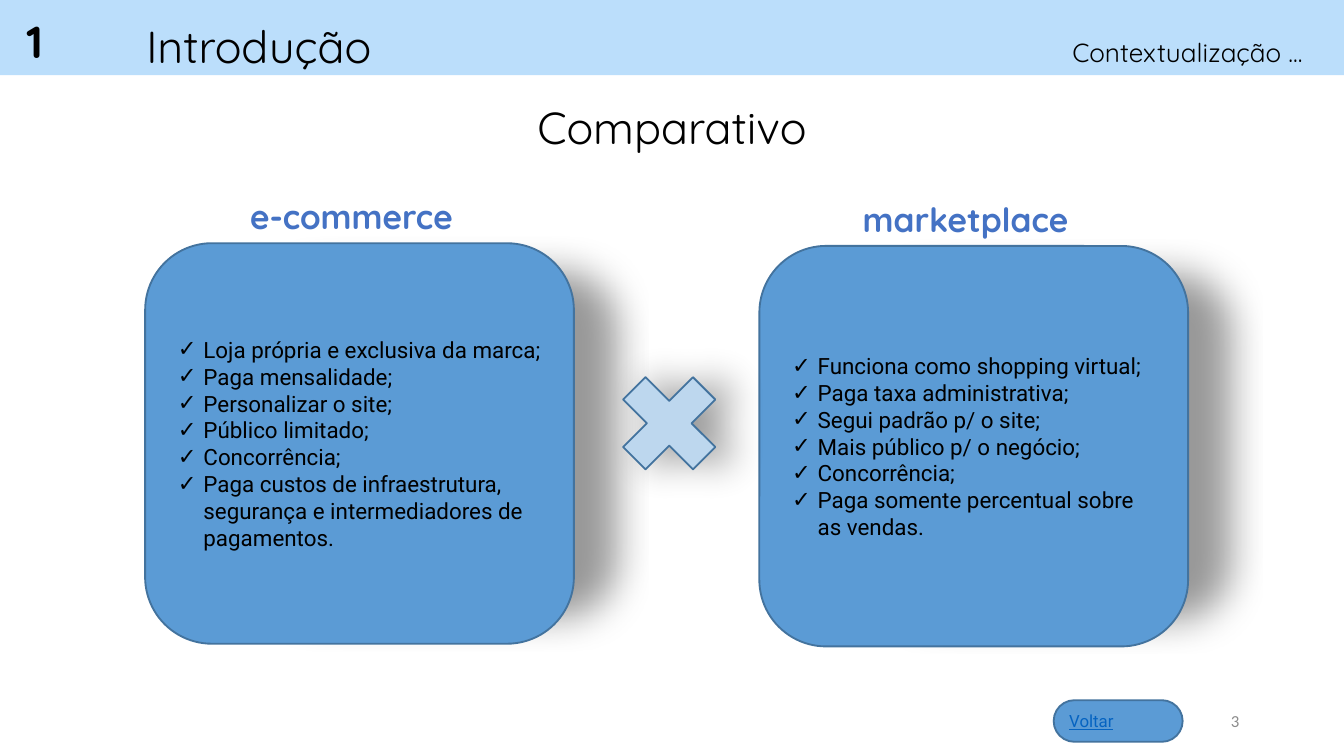
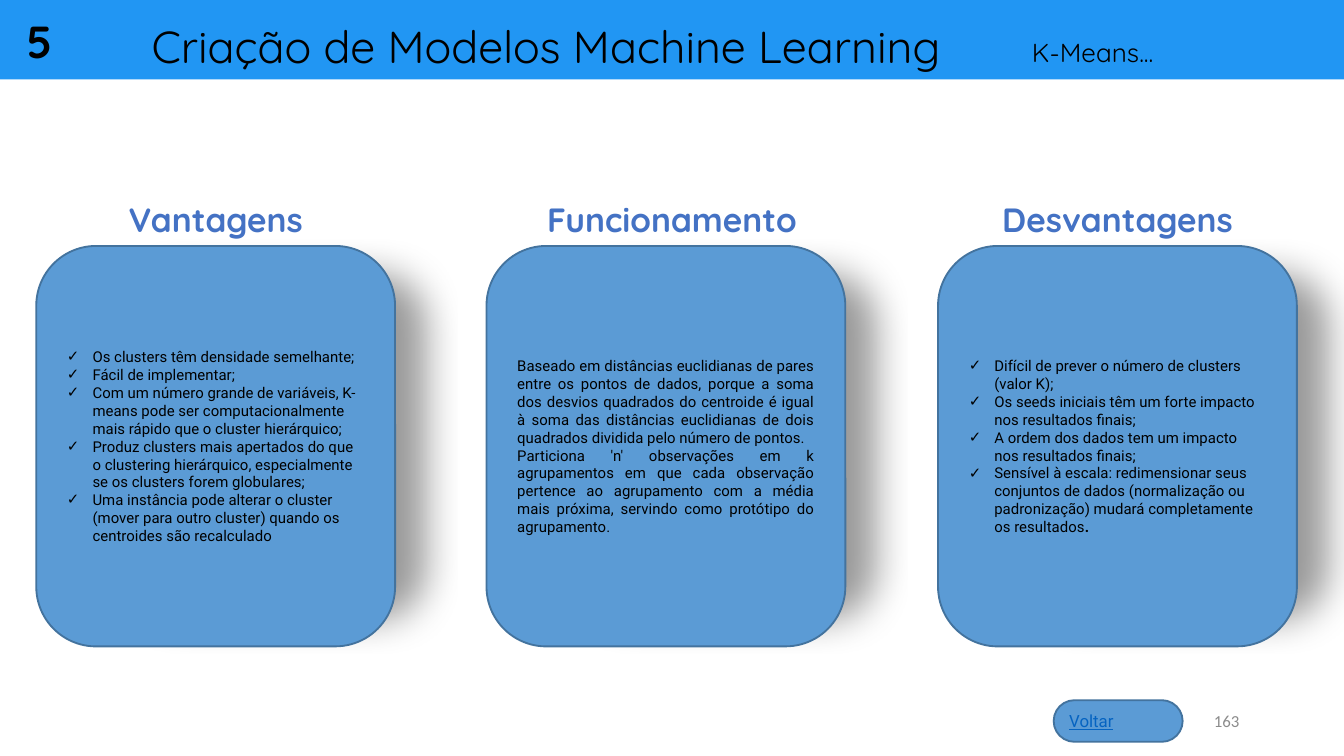
from lxml import etree
from pptx import Presentation
from pptx.dml.color import RGBColor
from pptx.enum.shapes import MSO_SHAPE
from pptx.enum.text import MSO_ANCHOR, PP_ALIGN
from pptx.oxml.ns import qn
from pptx.util import Inches, Pt

LEFT, CENTER, RIGHT, JUSTIFY = PP_ALIGN.LEFT, PP_ALIGN.CENTER, PP_ALIGN.RIGHT, PP_ALIGN.JUSTIFY
TOP, MIDDLE = MSO_ANCHOR.TOP, MSO_ANCHOR.MIDDLE
RECTANGLE, ROUNDED = MSO_SHAPE.RECTANGLE, MSO_SHAPE.ROUNDED_RECTANGLE
BUTTON, CROSS = MSO_SHAPE.ROUND_2_SAME_RECTANGLE, MSO_SHAPE.MATH_MULTIPLY

BLACK, WHITE, GRAY = "000000", "FFFFFF", "8C8C8C"
CARD_BLUE, EDGE_BLUE, CROSS_BLUE = "5B9BD5", "43739E", "BDD7EE"
HEADING_BLUE, LINK_BLUE = "4472C4", "0563C1"
TITLE_FONT, BODY_FONT, NUMBER_FONT = "Quicksand", "Roboto", "Calibri"
CARD_HEIGHT, HEADING_HEIGHT = 2.98, 0.4


def color(value):
    """Turn a hex string into a colour."""
    return RGBColor.from_string(value)


def add_element(parent, tag, **attributes):
    """Append a DrawingML element with its attributes."""
    element = etree.SubElement(parent, qn(tag))
    for name, value in attributes.items():
        element.set(name, str(value))
    return element


def style_font(font, name, size, hex_color, bold=False):
    """Set the typeface, size, colour and weight of a font."""
    font.name, font.size, font.bold = name, Pt(size), bold
    font.color.rgb = color(hex_color)


def add_shape(slide, kind, box, fill, line=None):
    """Add a flat preset shape with an optional outline."""
    shape = slide.shapes.add_shape(kind, *map(Inches, box))
    shape.shadow.inherit = False
    shape.fill.solid()
    shape.fill.fore_color.rgb = color(fill)
    if line:
        shape.line.color.rgb = color(line)
        shape.line.width = Pt(1)
    else:
        shape.line.fill.background()
    return shape


def add_label(slide, text, box, size, name=TITLE_FONT, hex_color=BLACK,
              bold=False, align=LEFT, anchor=MIDDLE):
    """Add a one-line text box and return its run."""
    text_frame = slide.shapes.add_textbox(*map(Inches, box)).text_frame
    text_frame.word_wrap = True
    text_frame.vertical_anchor = anchor
    text_frame.text = text
    paragraph = text_frame.paragraphs[0]
    paragraph.alignment = align
    run = paragraph.runs[0]
    style_font(run.font, name, size, hex_color, bold)
    return run


def add_shadow(shape, distance, scale_x=100, scale_y=100):
    """Cast a soft shadow to the right of a shape."""
    effects = shape._element.spPr.find(qn("a:effectLst"))
    shadow = add_element(effects, "a:outerShdw", blurRad=Pt(21), dist=Pt(distance), dir=0,
                         sx=scale_x * 1000, sy=scale_y * 1000, algn="ctr", rotWithShape=0)
    shade = add_element(shadow, "a:srgbClr", val=BLACK)
    add_element(shade, "a:alpha", val=40000)


def add_check(paragraph):
    """Give a paragraph a hanging check mark."""
    properties = paragraph._p.get_or_add_pPr()
    properties.set("marL", str(Inches(0.19)))
    properties.set("indent", str(-Inches(0.19)))
    add_element(properties, "a:buFont", typeface=BODY_FONT)
    add_element(properties, "a:buChar", char="✓")


def add_heading(slide, text, box):
    """Add a card heading with a thin white text outline."""
    run = add_label(slide, text, box, 18, hex_color=HEADING_BLUE, bold=True, align=CENTER)
    properties = run.font._element
    outline = etree.Element(qn("a:ln"), w=str(Pt(0.75)))
    add_element(add_element(outline, "a:solidFill"), "a:srgbClr", val=WHITE)
    properties.insert(0, outline)


def add_card(slide, box, heading, heading_span, items, size, distance, checks=True):
    """Draw a rounded card with its heading and paragraphs."""
    left, top = box[:2]
    offset, width = heading_span
    shape = add_shape(slide, ROUNDED, box, CARD_BLUE, EDGE_BLUE)
    add_shadow(shape, distance, 80, 86)
    text_frame = shape.text_frame
    text_frame.word_wrap = True
    text_frame.vertical_anchor = MIDDLE
    text_frame.text = "\n".join(items)
    for paragraph in text_frame.paragraphs:
        paragraph.alignment = LEFT if checks else JUSTIFY
        if checks:
            add_check(paragraph)
        for run in paragraph.runs:
            style_font(run.font, BODY_FONT, size, BLACK)
    add_heading(slide, heading, (left + offset, top - HEADING_HEIGHT, width, HEADING_HEIGHT))
    return shape


def add_header(slide, band_top, fill, number, title, title_box, topic, topic_box):
    """Draw the top band with section number, title and topic."""
    add_shape(slide, RECTANGLE, (0, band_top, 10, 0.59), fill)
    add_label(slide, number, (0.1, 0.05, 0.42, 0.5), 24, bold=True)
    add_label(slide, title, title_box, 24)
    add_label(slide, topic, topic_box, 14, anchor=TOP)


def add_footer(slide, page):
    """Draw the back button and the page number."""
    button = add_shape(slide, BUTTON, (7.84, 5.21, 0.96, 0.31), CARD_BLUE, EDGE_BLUE)
    button.adjustments[0] = button.adjustments[1] = 0.5
    text_frame = button.text_frame
    text_frame.margin_left = text_frame.margin_right = Inches(0.07)
    text_frame.margin_top = text_frame.margin_bottom = Inches(0.04)
    text_frame.vertical_anchor = MIDDLE
    text_frame.text = "Voltar"
    paragraph = text_frame.paragraphs[0]
    paragraph.alignment = LEFT
    font = paragraph.runs[0].font
    style_font(font, BODY_FONT, 9, LINK_BLUE)
    font.underline = True
    add_label(slide, page, (8.88, 5.21, 0.44, 0.3), 9, NUMBER_FONT, GRAY, align=RIGHT)


def build_comparison(slide):
    """Compare e-commerce with marketplace."""
    add_header(slide, -0.03, "BBDEFB", "1", "Introdução", (0.99, 0.09, 3.17, 0.5),
               "Contextualização ...", (7.88, 0.22, 1.99, 0.34))
    add_label(slide, "Comparativo", (0, 0.69, 10, 0.5), 24, align=CENTER)
    cards = [
        (1.08, 1.81, "e-commerce", [
            "Loja própria e exclusiva da marca;", "Paga mensalidade;",
            "Personalizar o site;", "Público limitado;", "Concorrência;",
            "Paga custos de infraestrutura, segurança e intermediadores de pagamentos."]),
        (5.65, 1.83, "marketplace", [
            "Funciona como shopping virtual;", "Paga taxa administrativa;",
            "Segui padrão p/ o site;", "Mais público p/ o negócio;", "Concorrência;",
            "Paga somente percentual sobre as vendas."]),
    ]
    for left, top, heading, items in cards:
        add_card(slide, (left, top, 3.19, CARD_HEIGHT), heading, (0.62, 1.83), items, 12, 45)
    cross = add_shape(slide, CROSS, (4.48, 2.65, 1, 1), CROSS_BLUE, EDGE_BLUE)
    add_shadow(cross, 10)
    add_footer(slide, "3")


def build_k_means(slide):
    """Show the advantages, workings and drawbacks of K-Means."""
    add_header(slide, 0, "2196F3", "5", "Criação de Modelos Machine Learning",
               (1.03, 0.09, 6.13, 0.5), "K-Means...", (7.58, 0.22, 2.29, 0.57))
    width = 2.67
    cards = [
        (0.27, "Vantagens", (0, width), True, [
            "Os clusters têm densidade semelhante;", "Fácil de implementar;",
            "Com um número grande de variáveis, K-means pode ser computacionalmente "
            "mais rápido que o cluster hierárquico;",
            "Produz clusters mais apertados do que o clustering hierárquico, "
            "especialmente se os clusters forem globulares;",
            "Uma instância pode alterar o cluster (mover para outro cluster) "
            "quando os centroides são recalculado"]),
        (3.62, "Funcionamento", (-0.04, 2.84), False, [
            "Baseado em distâncias euclidianas de pares entre os pontos de dados, "
            "porque a soma dos desvios quadrados do centroide é igual à soma das "
            "distâncias euclidianas de dois quadrados dividida pelo número de pontos.",
            "Particiona 'n' observações em k agrupamentos em que cada observação "
            "pertence ao agrupamento com a média mais próxima, servindo como "
            "protótipo do agrupamento."]),
        (6.98, "Desvantagens", (0, width), True, [
            "Difícil de prever o número de clusters (valor K);",
            "Os seeds iniciais têm um forte impacto nos resultados finais;",
            "A ordem dos dados tem um impacto nos resultados finais;",
            "Sensível à escala: redimensionar seus conjuntos de dados (normalização "
            "ou padronização) mudará completamente os resultados"]),
    ]
    for left, heading, heading_span, checks, items in cards:
        box = (left, 1.83, width, CARD_HEIGHT)
        card = add_card(slide, box, heading, heading_span, items, 8, 35, checks)
        if checks:
            card.text_frame.margin_right = Inches(0.13)
    full_stop = card.text_frame.paragraphs[-1].add_run()
    full_stop.text = "."
    style_font(full_stop.font, BODY_FONT, 8, BLACK, bold=True)
    add_footer(slide, "163")


def main():
    """Build the presentation."""
    presentation = Presentation()
    presentation.slide_width = Inches(10)
    presentation.slide_height = presentation.slide_width * 9 // 16
    for build in (build_comparison, build_k_means):
        build(presentation.slides.add_slide(presentation.slide_layouts[6]))
    presentation.save("out.pptx")


if __name__ == "__main__":
    main()
